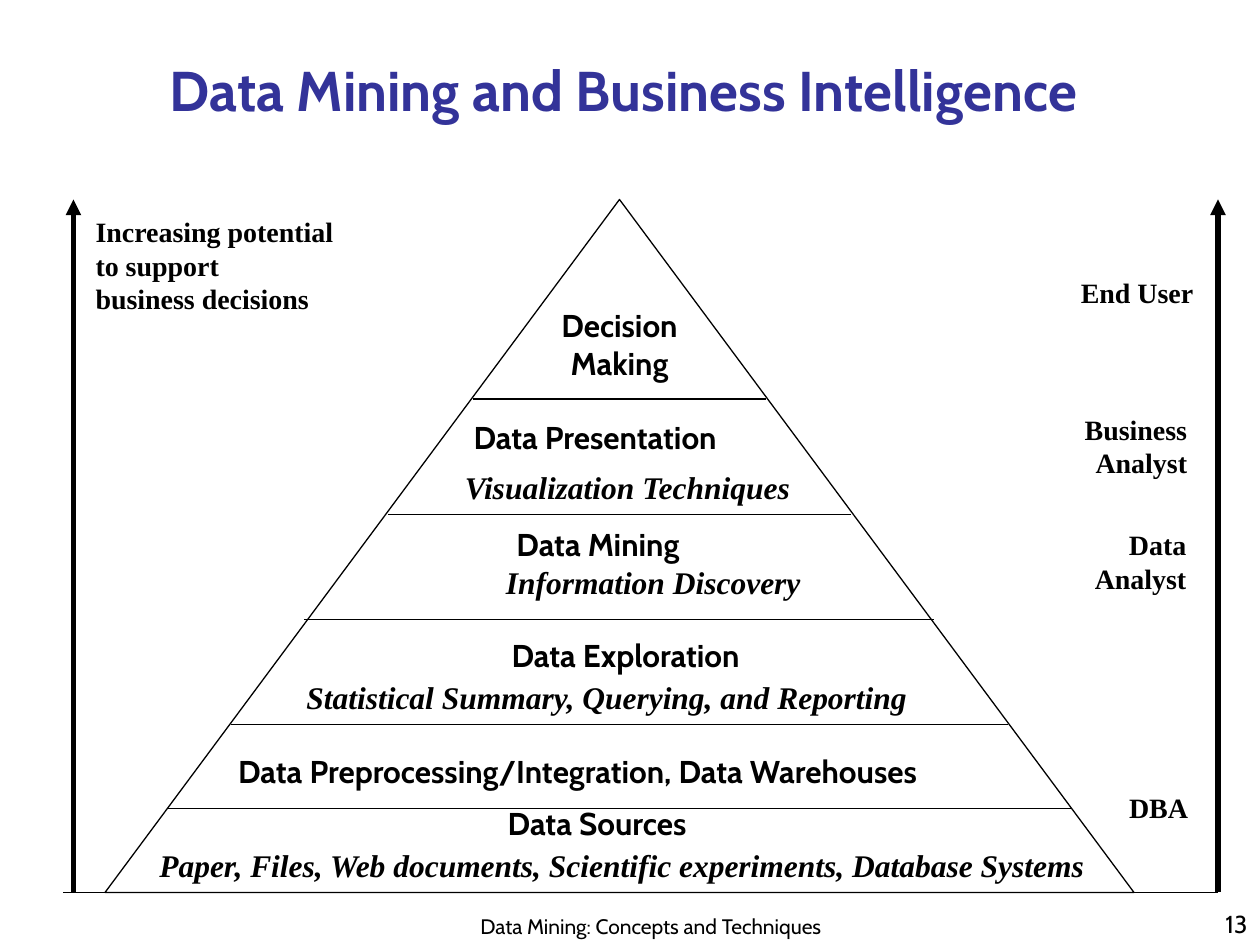
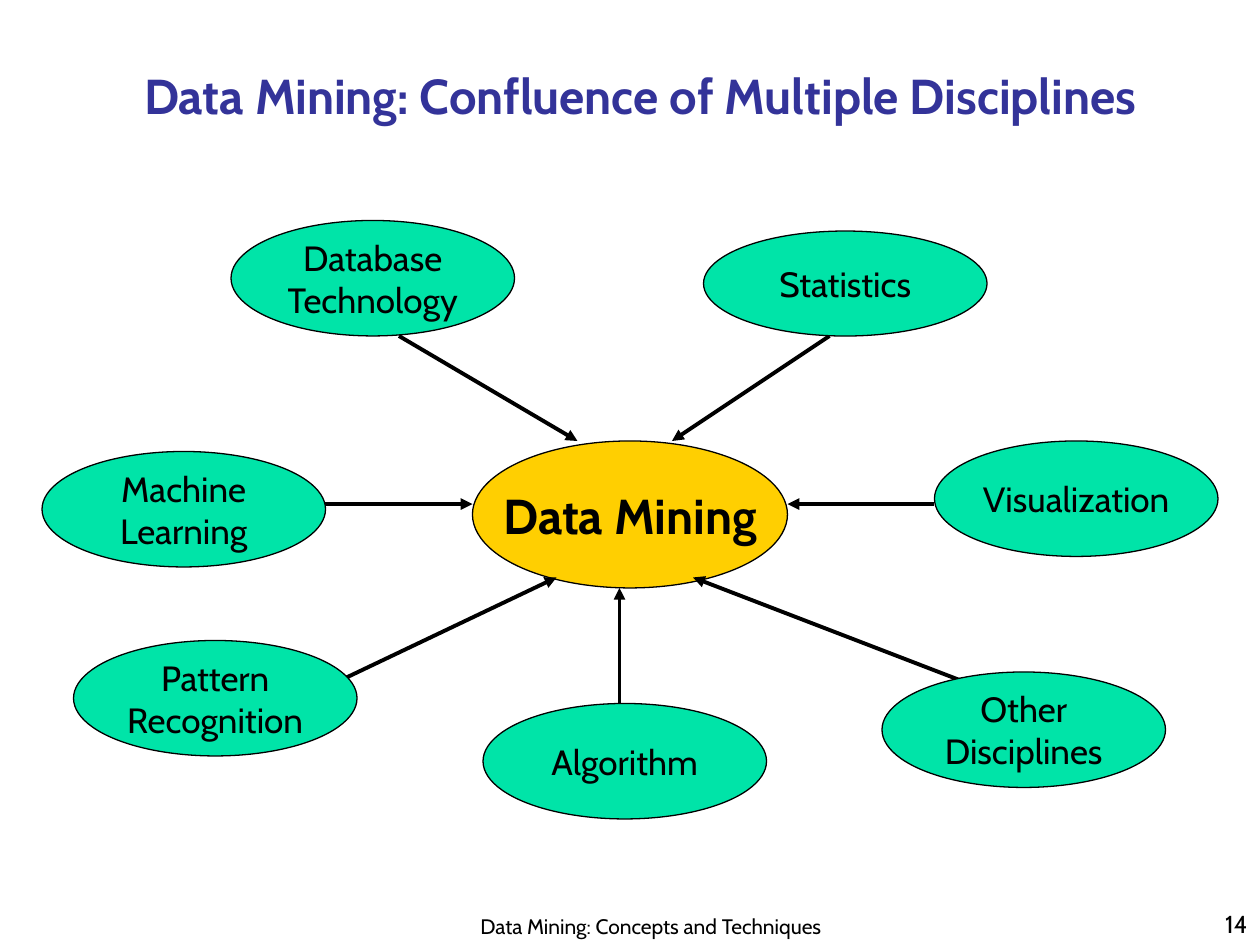
from lxml.etree import SubElement
from pptx import Presentation
from pptx.dml.color import RGBColor
from pptx.enum.shapes import MSO_CONNECTOR as Connector, MSO_SHAPE as Shape
from pptx.enum.text import MSO_ANCHOR as Anchor, MSO_AUTO_SIZE as AutoSize, PP_ALIGN as Align
from pptx.oxml.ns import qn
from pptx.util import Pt

COLORS = {"ink": "000000", "title": "333399", "hub": "FFCF01", "discipline": "00E4A8"}
SANS, SERIF = "Cabin", "Times New Roman"
FOOTER = "Data Mining: Concepts and Techniques"
FOOTER_BOX = (258, 510, 228, 30)
NUMBER_BOX = (570, 504, 150, 36)
GRID = 6

PYRAMID_TITLE = {"text": "Data Mining and Business Intelligence ",
                 "box": (18, 30, 684, 42), "size": 32, "number": 13}
PYRAMID_BOX = (60, 114, 588, 396)
LAYER_EDGES = [462, 414, 354, 294, 228]
AXIS_POSITIONS = [42, 696]
BASELINE = (36, 510, 696, 510)
POTENTIAL = ("Increasing potential\nto support\nbusiness decisions", (47.5, 119, 150.5, 65))
USERS = [
    ("End User", (610.5, 154, 78.5, 26.5)),
    ("Business\nAnalyst", (610.5, 232, 75, 46)),
    ("Data\nAnalyst", (618, 298, 67, 46)),
    ("DBA", (638, 448, 48, 26.5)),
]
CENTERED_LAYERS = [
    ("Decision Making", (306, 171.5, 96, 50.5)),
    ("Data Exploration", (265, 360, 185, 29)),
]
LAYERS = [
    ("Data Presentation", (263.5, 235.5, 178.5, 29)),
    ("Data Mining", (288, 296.5, 140.5, 29)),
    ("Data Preprocessing/Integration, Data Warehouses", (129, 426, 468, 29)),
    ("Data Sources", (283, 456, 132, 29)),
]
LAYER_DETAILS = [
    ("Visualization Techniques", (258.5, 264, 203, 29)),
    ("Information Discovery", (282, 318, 183, 29)),
    ("Statistical Summary, Querying, and Reporting", (168, 384, 360, 29)),
    ("Paper, Files, Web documents, Scientific experiments, Database Systems",
     (84, 480, 561, 29)),
]

CONFLUENCE_TITLE = {"text": "Data Mining: Confluence of Multiple Disciplines ",
                    "box": (30, 24, 678, 60), "size": 28, "number": 14}
HUB = ("Data Mining", (270, 252, 180, 84))
DISCIPLINE_WIDTH = 162
DISCIPLINE_TEXT_SIZE = 20
DISCIPLINES = [
    {"text": "Database\nTechnology", "at": (132, 126), "arrow": (228, 192, 330, 252)},
    {"text": "Statistics", "at": (402, 132), "height": 60, "arrow": (474, 192, 384, 252)},
    {"text": "Machine\nLearning", "at": (24, 258), "arrow": (186, 288, 270, 288)},
    {"text": "Pattern\nRecognition", "at": (42, 366), "arrow": (192, 390, 318, 330)},
    {"text": "Algorithm", "at": (276, 402), "arrow": (354, 402, 354, 336)},
    {"text": "Other\nDisciplines", "at": (504, 384), "arrow": (552, 390, 396, 330)},
    {"text": "Visualization", "at": (534, 252), "arrow": (534, 288, 450, 288)},
]


def color(name):
    return RGBColor.from_string(COLORS[name])


def points(values):
    return [Pt(value) for value in values]


def write_text(shape, text, size=18, font=SANS, ink="ink", bold=False, italic=False,
               align=Align.LEFT, anchor=Anchor.TOP, wrap=True, auto_size=AutoSize.NONE):
    frame = shape.text_frame
    frame.text = text
    frame.word_wrap = wrap
    frame.auto_size = auto_size
    frame.vertical_anchor = anchor
    for paragraph in frame.paragraphs:
        paragraph.alignment = align
        paragraph.space_before = Pt(0)
        style = paragraph.runs[0].font
        style.name = font
        style.size = Pt(size)
        style.bold = bold
        style.italic = italic
        style.color.rgb = color(ink)


def add_text(slide, text, box, **text_format):
    write_text(slide.shapes.add_textbox(*points(box)), text, **text_format)


def add_labels(slide, labels, **text_format):
    for text, box in labels:
        add_text(slide, text, box, bold=True, auto_size=AutoSize.SHAPE_TO_FIT_TEXT, **text_format)


def add_outlined_shape(slide, kind, box, fill=None):
    shape = slide.shapes.add_shape(kind, *points(box))
    shape.shadow.inherit = False
    if fill:
        shape.fill.solid()
        shape.fill.fore_color.rgb = color(fill)
    else:
        shape.fill.background()
    shape.line.color.rgb = color("ink")
    shape.line.width = Pt(0.75)
    return shape


def add_ellipse(slide, text, box, fill, **text_format):
    ellipse = add_outlined_shape(slide, Shape.OVAL, box, fill)
    write_text(ellipse, text, align=Align.CENTER, anchor=Anchor.MIDDLE, wrap=False, **text_format)


def add_line(slide, ends, width=0.75, arrow=False):
    connector = slide.shapes.add_connector(Connector.STRAIGHT, *points(ends))
    connector.line.color.rgb = color("ink")
    connector.line.width = Pt(width)
    if arrow:
        SubElement(connector.line._get_or_add_ln(), qn("a:tailEnd"), type="triangle")
    SubElement(connector._element.spPr, qn("a:effectLst"))


def add_slide(presentation, heading):
    slide = presentation.slides.add_slide(presentation.slide_layouts[5])
    title = slide.shapes.title
    title.left, title.top, title.width, title.height = points(heading["box"])
    write_text(title, heading["text"], size=heading["size"], ink="title", bold=True,
               align=Align.CENTER, anchor=Anchor.MIDDLE)
    add_text(slide, FOOTER, FOOTER_BOX, size=12, align=Align.CENTER, anchor=Anchor.BOTTOM)
    add_text(slide, str(heading["number"]), NUMBER_BOX, size=14, align=Align.RIGHT,
             anchor=Anchor.BOTTOM)
    return slide


def snap(value):
    return round(value / GRID) * GRID


def build_pyramid(presentation):
    slide = add_slide(presentation, PYRAMID_TITLE)
    left, top, width, height = PYRAMID_BOX
    apex = left + width / 2
    add_outlined_shape(slide, Shape.FLOWCHART_EXTRACT, PYRAMID_BOX)
    for edge in LAYER_EDGES:
        reach = width / 2 * (edge - top) / height
        add_line(slide, (snap(apex - reach), edge, snap(apex + reach), edge))
    for position in AXIS_POSITIONS:
        add_line(slide, (position, top + height, position, top), width=3, arrow=True)
    add_line(slide, BASELINE)
    add_labels(slide, [POTENTIAL], size=16, font=SERIF, wrap=False)
    add_labels(slide, USERS, size=16, font=SERIF, wrap=False, align=Align.RIGHT)
    add_labels(slide, CENTERED_LAYERS, align=Align.CENTER)
    add_labels(slide, LAYERS)
    add_labels(slide, LAYER_DETAILS, font=SERIF, italic=True)


def build_confluence(presentation):
    slide = add_slide(presentation, CONFLUENCE_TITLE)
    text, box = HUB
    add_ellipse(slide, text, box, "hub", size=28, bold=True)
    for discipline in DISCIPLINES:
        add_line(slide, discipline["arrow"], width=2.25, arrow=True)
    for discipline in DISCIPLINES:
        box = (*discipline["at"], DISCIPLINE_WIDTH, discipline.get("height", 66))
        add_ellipse(slide, discipline["text"], box, "discipline", size=DISCIPLINE_TEXT_SIZE)


def main():
    presentation = Presentation()
    presentation.slide_width = Pt(720)
    presentation.slide_height = Pt(540)
    build_pyramid(presentation)
    build_confluence(presentation)
    presentation.save("out.pptx")


if __name__ == "__main__":
    main()
